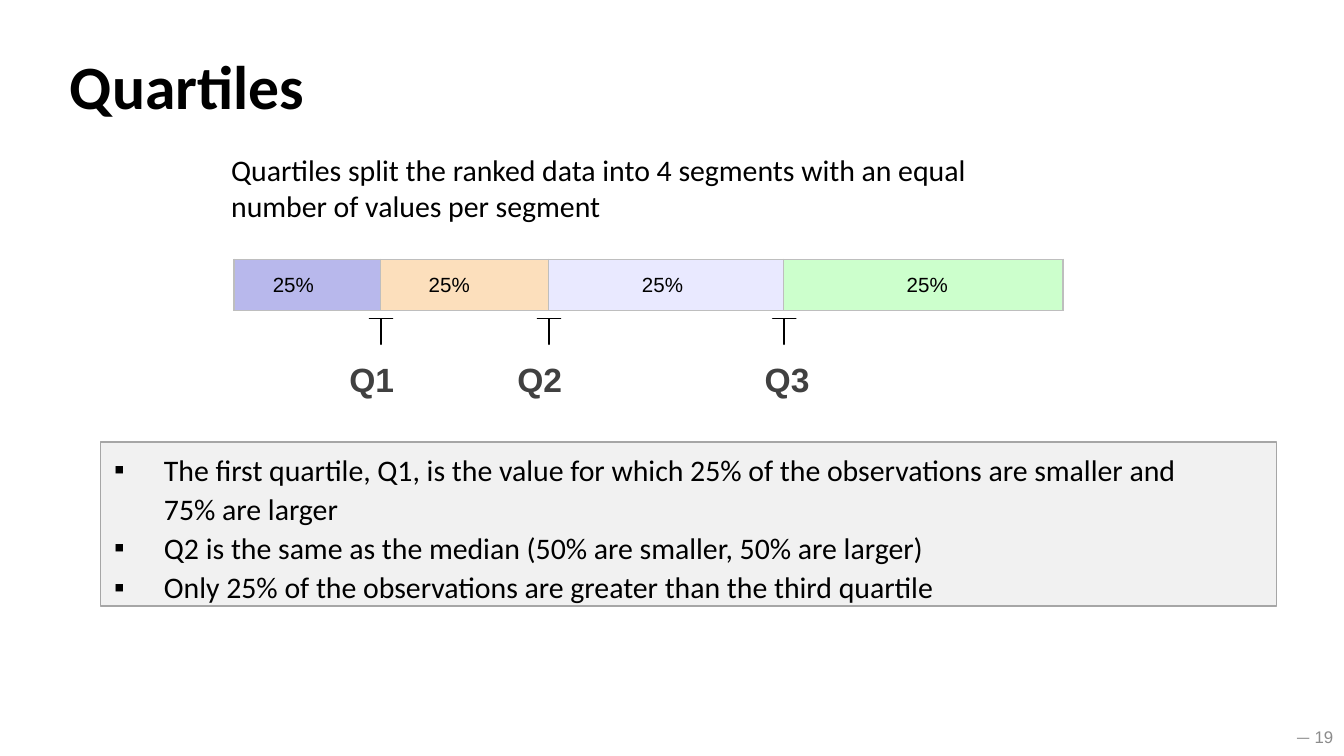
from dataclasses import dataclass

from lxml.etree import SubElement
from pptx import Presentation
from pptx.dml.color import RGBColor
from pptx.enum.shapes import MSO_SHAPE
from pptx.enum.text import MSO_ANCHOR, PP_ALIGN
from pptx.oxml.ns import qn
from pptx.slide import Slide
from pptx.table import _Cell
from pptx.text.text import TextFrame, _Paragraph, _Run
from pptx.util import Inches, Pt

COLORS = {
    "black": "000000",
    "label": "404040",
    "page": "8C8C8C",
    "border": "BEBEBE",
    "panel": "F1F1F1",
    "panel_line": "A6A6A6",
}


@dataclass
class Label:
    text: str
    left: float
    top: float
    width: float
    height: float
    size: float
    font: str = "Calibri"
    color: str = COLORS["black"]
    bold: bool = False


@dataclass
class Segment:
    width: float
    fill: str
    indent: float
    alignment: PP_ALIGN = PP_ALIGN.LEFT
    right_margin: float = 0


@dataclass
class Quartile:
    name: str
    marker_left: float
    label_left: float


@dataclass
class Bullet:
    text: str
    space_before: float = 0
    line_spacing: float = 1.0


LABELS = [
    Label("Quartiles", 0.5, 0.35, 6.51, 0.57, 33, bold=True),
    Label("Quartiles split the ranked data into 4 segments with an equal "
          "number of values per segment", 1.7, 1.12, 5.98, 0.55, 16),
]
SEGMENTS = [
    Segment(1.09, "B8B8EC", 0.29),
    Segment(1.25, "FCDFBC", 0.36),
    Segment(1.75, "E9E9FF", 0, PP_ALIGN.CENTER, 0.05),
    Segment(2.08, "CCFFCC", 0.06, PP_ALIGN.CENTER),
]
QUARTILES = [
    Quartile("Q1", 2.75, 2.58),
    Quartile("Q2", 4, 3.83),
    Quartile("Q3", 5.75, 5.67),
]
BULLETS = [
    Bullet("The first quartile, Q1, is the value for which 25% of the "
           "observations are smaller and 75% are larger", line_spacing=1.08),
    Bullet("Q2 is the same as the median (50% are smaller, 50% are larger)", 1.8),
    Bullet("Only 25% of the observations are greater than the third quartile", 2),
]


def rgb(color: str) -> RGBColor:
    return RGBColor.from_string(color)


def format_run(run: _Run, size: float, font: str, color: str, bold: bool = False) -> None:
    run.font.size = Pt(size)
    run.font.name = font
    run.font.bold = bold
    run.font.color.rgb = rgb(color)


def set_margins(target: TextFrame | _Cell, left: float, top: float, right: float = 0) -> None:
    target.margin_left, target.margin_top = Inches(left), Inches(top)
    target.margin_right, target.margin_bottom = Inches(right), 0


def add_label(slide: Slide, label: Label) -> None:
    box = slide.shapes.add_textbox(Inches(label.left), Inches(label.top),
                                   Inches(label.width), Inches(label.height))
    text_frame = box.text_frame
    text_frame.word_wrap = True
    set_margins(text_frame, 0.02, 0.01)
    text_frame.text = label.text
    format_run(text_frame.paragraphs[0].runs[0], label.size, label.font,
               label.color, label.bold)


def add_page_number(slide: Slide) -> None:
    box = slide.shapes.add_textbox(Inches(9.59), Inches(5.41), Inches(0.33), Inches(0.14))
    set_margins(box.text_frame, 0, 0)
    box.text_frame.word_wrap = True
    paragraph = box.text_frame.paragraphs[0]
    paragraph.alignment = PP_ALIGN.RIGHT
    for text, font in (("— ", "Calibri"), ("19", "Arial")):
        run = paragraph.add_run()
        run.text = text
        format_run(run, 9, font, COLORS["page"])


def add_borders(cell: _Cell) -> None:
    properties = cell._tc.get_or_add_tcPr()
    for side in ("a:lnL", "a:lnR", "a:lnT", "a:lnB"):
        line = SubElement(properties, qn(side), w=str(Pt(1)))
        fill = SubElement(line, qn("a:solidFill"))
        SubElement(fill, qn("a:srgbClr"), val=COLORS["border"])


def add_segment_bar(slide: Slide) -> None:
    total_width = sum(segment.width for segment in SEGMENTS)
    frame = slide.shapes.add_table(1, len(SEGMENTS), Inches(1.74), Inches(1.93),
                                   Inches(total_width), Inches(0.38))
    table = frame.table
    table.first_row = table.horz_banding = False
    for index, segment in enumerate(SEGMENTS):
        table.columns[index].width = Inches(segment.width)
        cell = table.cell(0, index)
        set_margins(cell, segment.indent, 0.11, segment.right_margin)
        add_borders(cell)
        cell.fill.solid()
        cell.fill.fore_color.rgb = rgb(segment.fill)
        cell.text_frame.text = "25%"
        paragraph = cell.text_frame.paragraphs[0]
        paragraph.alignment = segment.alignment
        format_run(paragraph.runs[0], 11, "Arial", COLORS["black"])


def add_marker(slide: Slide, left: float) -> None:
    """Draw a T whose stem hangs below the segment boundary."""
    top, bottom, width = 2.37, 2.56, 0.17
    center = left + width / 2
    builder = slide.shapes.build_freeform(Inches(center), Inches(bottom))
    points = [(center, top), (left, top), (left + width, top), (center, top)]
    builder.add_line_segments([(Inches(x), Inches(y)) for x, y in points], close=True)
    shape = builder.convert_to_shape()
    shape.shadow.inherit = False
    shape.fill.background()
    shape.line.color.rgb = rgb(COLORS["black"])
    shape.line.width = Pt(1)


def set_bullet(paragraph: _Paragraph) -> None:
    properties = paragraph._p.get_or_add_pPr()
    properties.set("marL", str(Inches(0.47)))
    properties.set("indent", str(Inches(-0.37)))
    SubElement(properties, qn("a:buFont"), typeface="Arial")
    SubElement(properties, qn("a:buChar"), char="▪")


def add_panel(slide: Slide) -> None:
    shape = slide.shapes.add_shape(MSO_SHAPE.RECTANGLE, Inches(0.75), Inches(3.29),
                                   Inches(8.75), Inches(1.22))
    shape.shadow.inherit = False
    shape.fill.solid()
    shape.fill.fore_color.rgb = rgb(COLORS["panel"])
    shape.line.color.rgb = rgb(COLORS["panel_line"])
    shape.line.width = Pt(0.75)
    text_frame = shape.text_frame
    text_frame.word_wrap = True
    text_frame.vertical_anchor = MSO_ANCHOR.TOP
    set_margins(text_frame, 0, 0.05, 0.5)
    for index, bullet in enumerate(BULLETS):
        paragraph = text_frame.add_paragraph() if index else text_frame.paragraphs[0]
        set_bullet(paragraph)
        paragraph.text = bullet.text
        paragraph.alignment = PP_ALIGN.LEFT
        paragraph.line_spacing = bullet.line_spacing
        if bullet.space_before:
            paragraph.space_before = Pt(bullet.space_before)
        format_run(paragraph.runs[0], 16, "Calibri", COLORS["black"])


def main() -> None:
    presentation = Presentation()
    presentation.slide_width = Inches(10)
    presentation.slide_height = Inches(10 * 9 / 16)
    slide = presentation.slides.add_slide(presentation.slide_layouts[6])
    for label in LABELS:
        add_label(slide, label)
    add_page_number(slide)
    add_segment_bar(slide)
    add_panel(slide)
    for quartile in QUARTILES:
        add_marker(slide, quartile.marker_left)
        add_label(slide, Label(quartile.name, quartile.label_left, 2.66, 0.36, 0.25,
                               18, "Arial", COLORS["label"], True))
    presentation.save("out.pptx")


if __name__ == "__main__":
    main()
